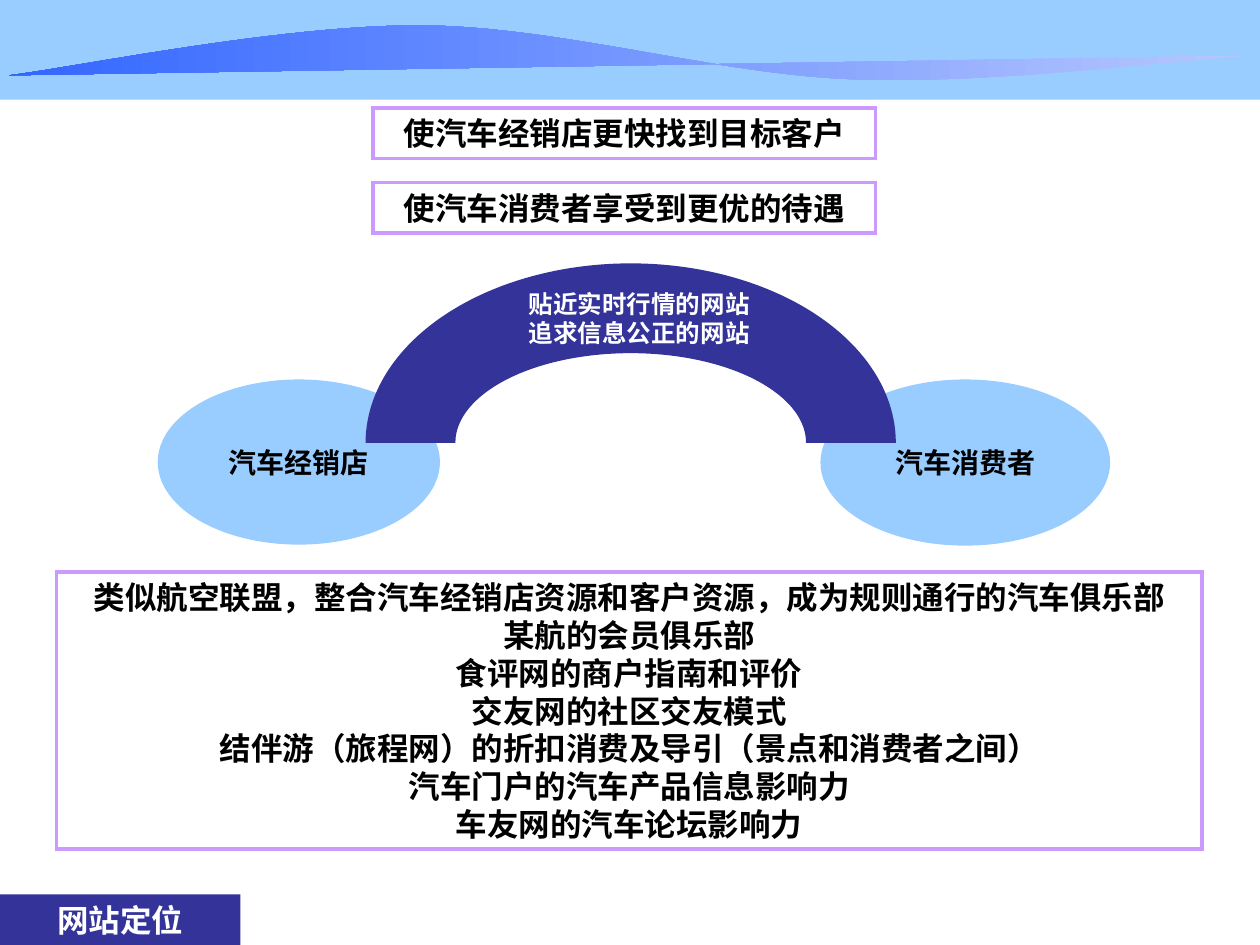
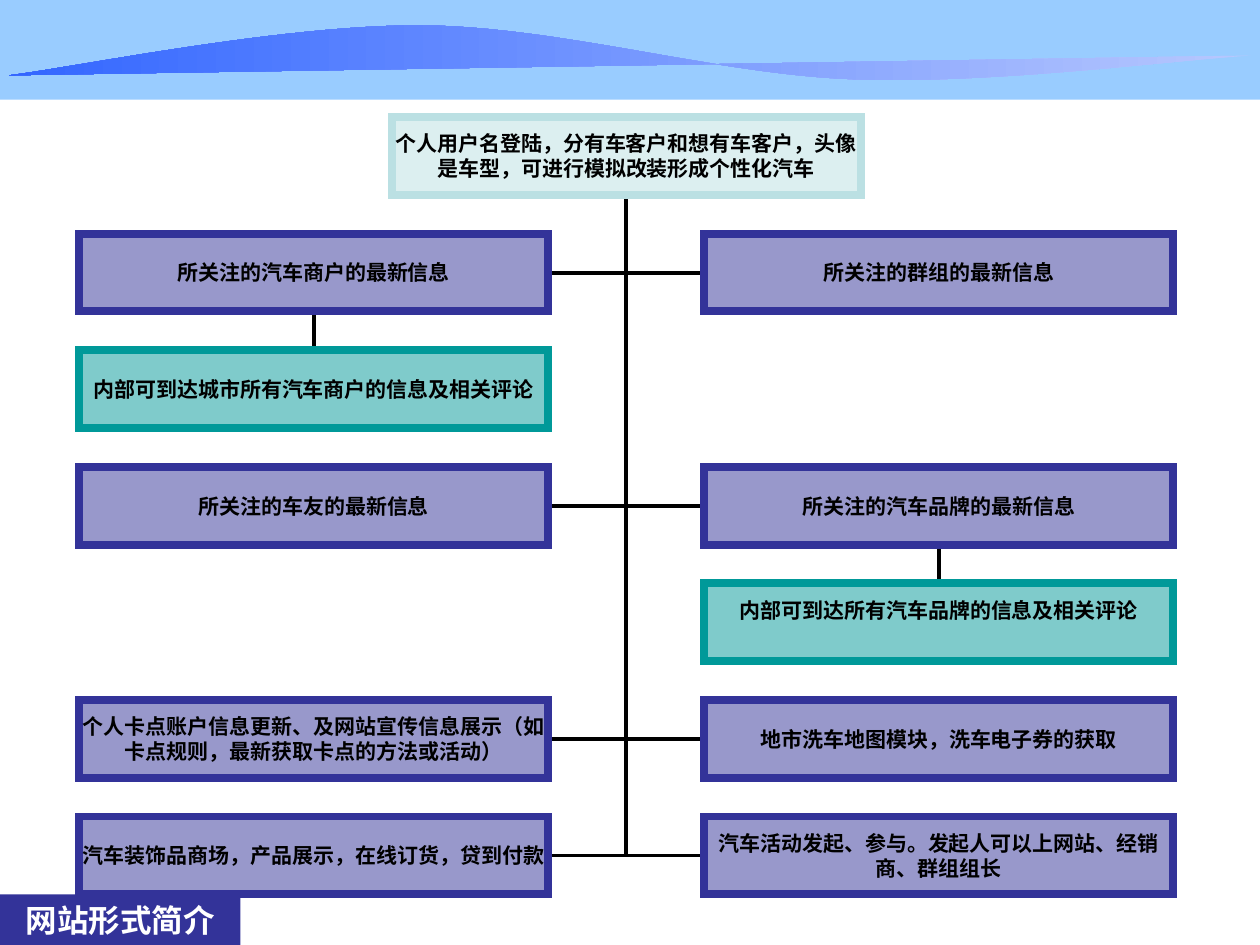
from lxml import etree
from pptx import Presentation
from pptx import util as u
from pptx.dml.color import RGBColor
from pptx.enum import shapes, text
from pptx.oxml.ns import qn

# Colours and font
SKY = RGBColor(0x99, 0xCC, 0xFF)
NAVY = RGBColor(0x33, 0x33, 0x99)
TEAL = RGBColor(0x00, 0x99, 0x99)
MINT = RGBColor(0xBB, 0xE0, 0xE3)
LILAC = RGBColor(0xCC, 0x99, 0xFF)
WAVE_PALE = RGBColor(0xB7, 0xC8, 0xFE)
WAVE_BLUE = RGBColor(0x33, 0x66, 0xFF)
BLACK = RGBColor(0, 0, 0)
WHITE = RGBColor(0xFF, 0xFF, 0xFF)
FONT = "Arial"

# Shared frame, all lengths in cm
WIDTH, HEIGHT = 25.4, 19.05
WAVE_START = (0.18, 1.52)
WAVE_CURVES = [  # two control points and an end point each
    ((1.55, 1.35), (5.61, 0.51), (8.46, 0.51)),
    ((11.3, 0.53), (14.43, 1.5), (17.22, 1.6)),
    ((20.02, 1.7), (23.57, 1.22), (25.22, 1.12)),
]
WAVE_STEPS = 24

# Slide 1: positioning
POSITION_TITLE = "网站定位"
GOALS = ["使汽车经销店更快找到目标客户", "使汽车消费者享受到更优的待遇"]
PARTIES = [
    ("汽车经销店", (3.18, 7.65, 5.69, 3.33)),
    ("汽车消费者", (16.54, 7.65, 5.84, 3.35)),
]
BRIDGE = ["贴近实时行情的网站", "追求信息公正的网站"]
MODELS = [
    "类似航空联盟，整合汽车经销店资源和客户资源，成为规则通行的汽车俱乐部",
    "某航的会员俱乐部",
    "食评网的商户指南和评价",
    "交友网的社区交友模式",
    "结伴游（旅程网）的折扣消费及导引（景点和消费者之间）",
    "汽车门户的汽车产品信息影响力",
    "车友网的汽车论坛影响力",
]

# Slide 2: site structure, one (left, right) pair for each row
FORM_TITLE = "网站形式简介"
ROOT = "个人用户名登陆，分有车客户和想有车客户，头像是车型，可进行模拟改装形成个性化汽车"
ROWS = [
    ("所关注的汽车商户的最新信息", "所关注的群组的最新信息"),
    ("内部可到达城市所有汽车商户的信息及相关评论", None),
    ("所关注的车友的最新信息", "所关注的汽车品牌的最新信息"),
    (None, "内部可到达所有汽车品牌的信息及相关评论"),
    ("个人卡点账户信息更新、及网站宣传信息展示（如卡点规则，最新获取卡点的方法或活动）",
     "地市洗车地图模块，洗车电子券的获取"),
    ("汽车装饰品商场，产品展示，在线订货，贷到付款",
     "汽车活动发起、参与。发起人可以上网站、经销商、群组组长"),
]
BOX_W, BOX_H = 9.45, 1.57
COLUMNS = (1.6, 14.2)
SIDE_MARGINS = (0, 0.15)
TOP, PITCH = 2.36, 2.35


def write(sp, lines, size, color=BLACK, align=text.PP_ALIGN.CENTER, wrap=True):
    tf = sp.text_frame
    tf.word_wrap = wrap
    tf.vertical_anchor = text.MSO_ANCHOR.MIDDLE
    for i, line in enumerate(lines):
        p = tf.paragraphs[0] if i == 0 else tf.add_paragraph()
        p.alignment = align
        r = p.add_run()
        r.text = line
        r.font.name, r.font.size, r.font.bold = FONT, u.Pt(size), True
        r.font.color.rgb = color


def add_block(s, kind, place, fill=None, line=None, line_pt=2):
    sp = s.shapes.add_shape(kind, *map(u.Cm, place))
    sp.shadow.inherit = False
    if fill is None:
        sp.fill.background()
    else:
        sp.fill.solid()
        sp.fill.fore_color.rgb = fill
    if line is None:
        sp.line.fill.background()
    else:
        sp.line.color.rgb = line
        sp.line.width = u.Pt(line_pt)
        # Square corners
        etree.SubElement(sp._element.spPr.find(qn("a:ln")), qn("a:miter"), lim="800000")
    return sp


def add_rect(s, *args, **kwargs):
    return add_block(s, shapes.MSO_SHAPE.RECTANGLE, *args, **kwargs)


def wave_points():
    start = WAVE_START
    for c1, c2, end in WAVE_CURVES:
        for i in range(1, WAVE_STEPS + 1):
            t = i / WAVE_STEPS
            weights = ((1 - t) ** 3, 3 * t * (1 - t) ** 2, 3 * t * t * (1 - t), t ** 3)
            x, y = (sum(w * v for w, v in zip(weights, axis))
                    for axis in zip(start, c1, c2, end))
            yield u.Cm(x), u.Cm(y)
        start = end


def add_header(s):
    add_rect(s, (0, 0, WIDTH, 2.01), fill=SKY)
    outline = s.shapes.build_freeform(*map(u.Cm, WAVE_START))
    outline.add_line_segments(list(wave_points()), close=True)
    wave = outline.convert_to_shape()
    wave.shadow.inherit = False
    wave.line.fill.background()
    wave.fill.gradient()
    wave.fill.gradient_angle = 180
    for stop, color in zip(wave.fill.gradient_stops, (WAVE_PALE, WAVE_BLUE)):
        stop.color.rgb = color


def add_footer(s, title):
    write(add_rect(s, (0, 18.03, 4.85, 1.02), fill=NAVY), [title], 18, WHITE)


def add_node(s, label, x, row, color, side_margin=0):
    sp = add_rect(s, (x, TOP + row * PITCH, BOX_W, BOX_H), color, color, 4.5)
    rgb = sp._element.spPr.find(qn("a:solidFill")).find(qn("a:srgbClr"))
    etree.SubElement(rgb, qn("a:alpha"), val="50000")
    write(sp, [label], 12)
    tf = sp.text_frame
    tf.margin_left = tf.margin_right = u.Cm(side_margin)
    tf.margin_top = tf.margin_bottom = 0
    return sp


def link(s, start, start_side, end=None, end_side=None, end_point=(0, 0)):
    c = s.shapes.add_connector(shapes.MSO_CONNECTOR.STRAIGHT, 0, 0, *end_point)
    c.begin_connect(start, start_side)
    if end is not None:
        c.end_connect(end, end_side)
    c.line.color.rgb = BLACK
    c.line.width = u.Pt(2.25)
    etree.SubElement(c._element.spPr, qn("a:effectLst"))
    c._element.getparent().insert(2, c._element)  # behind the boxes


def build_position(s):
    # Two parties joined by the arch
    for label, place in PARTIES:
        sp = add_block(s, shapes.MSO_SHAPE.OVAL, place, fill=SKY)
        write(sp, [label], 16, wrap=False)
    add_block(s, shapes.MSO_SHAPE.BLOCK_ARC, (7.37, 5.31, 10.69, 7.24), fill=NAVY)
    caption = s.shapes.add_textbox(*map(u.Cm, (10.41, 5.69, 5.4, 1.45)))
    write(caption, BRIDGE, 14, WHITE, text.PP_ALIGN.LEFT)
    # Goals above, models below
    for i, goal in enumerate(GOALS):
        write(add_rect(s, (7.52, 2.18 + 1.5 * i, 10.13, 1.02), line=LILAC), [goal], 18)
    write(add_rect(s, (1.14, 11.53, 23.09, 5.59), line=LILAC), MODELS, 18)


def build_form(s):
    root = add_node(s, ROOT, sum(COLUMNS) / 2, 0, MINT)
    parents = None
    for row, labels in enumerate(ROWS, 1):
        is_detail = None in labels
        color = TEAL if is_detail else NAVY
        nodes = [label and add_node(s, label, x, row, color, margin)
                 for label, x, margin in zip(labels, COLUMNS, SIDE_MARGINS)]
        if is_detail:
            for parent, node in zip(parents, nodes):
                if node:
                    link(s, parent, 2, node, 0)
        else:
            link(s, nodes[0], 3, nodes[1], 1)
            parents = nodes
        if labels[0] is None:
            nodes[1].text_frame.margin_bottom = u.Cm(0.5)  # label sits high
    # Spine from the root to the last row
    last = parents[0]
    link(s, root, 2, end_point=(root.left + root.width // 2, last.top + last.height // 2))


def main():
    prs = Presentation()
    prs.slide_width, prs.slide_height = u.Cm(WIDTH), u.Cm(HEIGHT)
    for title, build in ((POSITION_TITLE, build_position), (FORM_TITLE, build_form)):
        s = prs.slides.add_slide(prs.slide_layouts[6])
        add_header(s)
        build(s)
        add_footer(s, title)
    prs.save("out.pptx")


if __name__ == "__main__":
    main()
